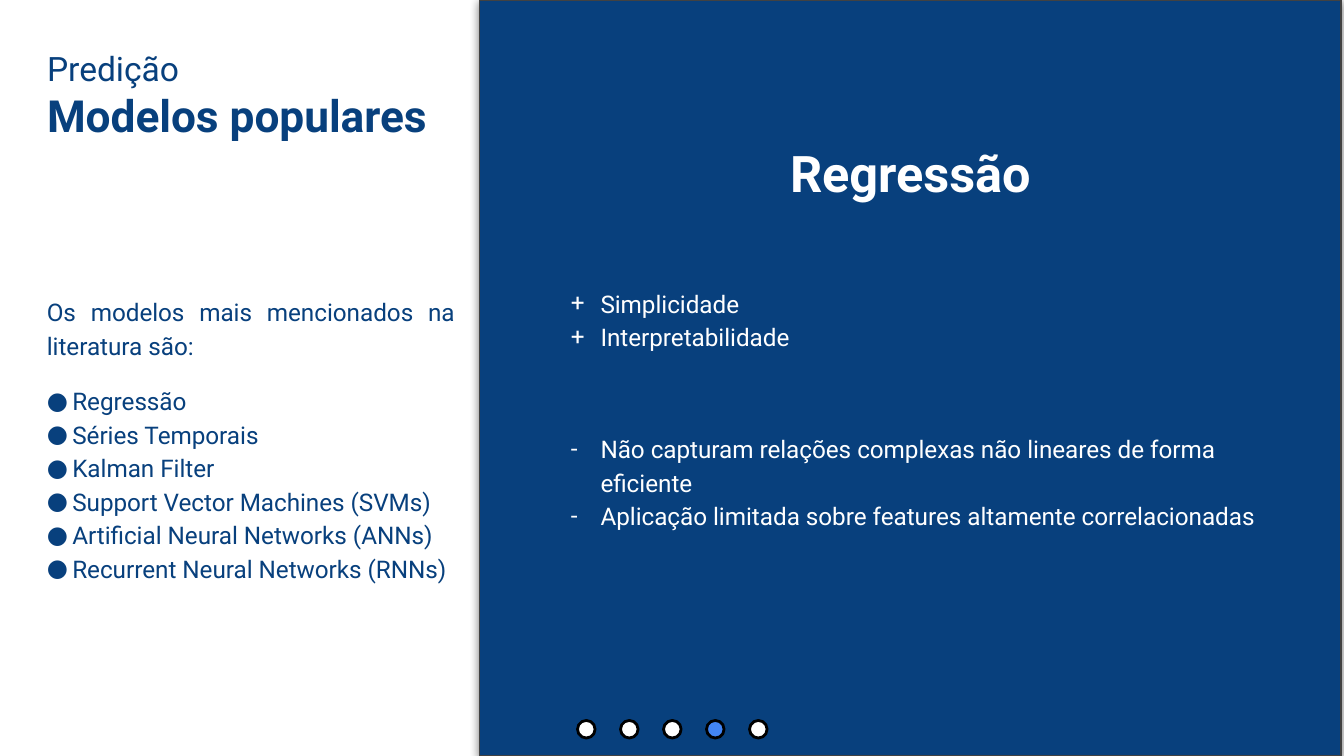
from lxml import etree
from pptx import Presentation
from pptx.dml.color import RGBColor
from pptx.enum.shapes import MSO_SHAPE
from pptx.enum.text import MSO_ANCHOR, MSO_AUTO_SIZE, PP_ALIGN
from pptx.oxml.ns import qn
from pptx.util import Pt

RECTANGLE, OVAL = MSO_SHAPE.RECTANGLE, MSO_SHAPE.OVAL
TOP, MIDDLE, BOTTOM = MSO_ANCHOR.TOP, MSO_ANCHOR.MIDDLE, MSO_ANCHOR.BOTTOM
LEFT, CENTER, JUSTIFY = PP_ALIGN.LEFT, PP_ALIGN.CENTER, PP_ALIGN.JUSTIFY
FONT = "Roboto"
BODY_SIZE = 13
COLORS = {
    "navy": "08407D",
    "white": "FFFFFF",
    "edge": "FAFAFA",
    "border": "424242",
    "black": "000000",
    "active": "4285F4",
}
MODELS = [
    "Regressão",
    "Séries Temporais",
    "Kalman Filter",
    "Support Vector Machines (SVMs)",
    "Artificial Neural Networks (ANNs)",
    "Recurrent Neural Networks (RNNs)",
]
PROS = ["Simplicidade", "Interpretabilidade"]
CONS = [
    "Não capturam relações complexas não lineares de forma eficiente",
    "Aplicação limitada sobre features altamente correlacionadas",
]
DOT_COUNT, ACTIVE_DOT = 5, 3


def rgb(name):
    return RGBColor.from_string(COLORS[name])


def place(shape, left, top, width, height):
    shape.left, shape.top = Pt(left), Pt(top)
    shape.width, shape.height = Pt(width), Pt(height)


def prepare_frame(box, anchor):
    frame = box.text_frame
    frame.word_wrap = True
    frame.auto_size = MSO_AUTO_SIZE.NONE
    frame.vertical_anchor = anchor
    frame.margin_left = frame.margin_right = Pt(7.2)
    frame.margin_top = frame.margin_bottom = Pt(7.2)
    return frame


def add_text_box(page, left, top, width, height, anchor):
    box = page.shapes.add_textbox(Pt(left), Pt(top), Pt(width), Pt(height))
    return prepare_frame(box, anchor)


def style_text(para, size, color, bold=False, align=LEFT):
    para.alignment = align
    for span in para.runs:
        span.font.name = FONT
        span.font.size = Pt(size)
        span.font.bold = bold
        span.font.color.rgb = rgb(color)


def add_bullet(para, mark, color, indent):
    properties = para._p.get_or_add_pPr()
    properties.set("marL", str(Pt(indent)))
    properties.set("indent", str(Pt(-15.84)))
    tint = etree.SubElement(properties, qn("a:buClr"))
    etree.SubElement(tint, qn("a:srgbClr"), val=COLORS[color])
    etree.SubElement(properties, qn("a:buFont"), typeface=FONT)
    etree.SubElement(properties, qn("a:buChar"), char=mark)


def write_body(frame, items, color, indent, align):
    """Each item is (bullet mark or None, text, space before)."""
    for index, (mark, text, space) in enumerate(items):
        para = frame.add_paragraph() if index else frame.paragraphs[0]
        para.text = text
        if mark:
            add_bullet(para, mark, color, indent)
        para.line_spacing = 1.15
        para.space_before = Pt(space)
        style_text(para, BODY_SIZE, color, align=align)


def add_filled(shapes, kind, bounds, fill, line=None, line_width=0):
    shape = shapes.add_shape(kind, *[Pt(value) for value in bounds])
    shape.shadow.inherit = False
    shape.fill.solid()
    shape.fill.fore_color.rgb = rgb(fill)
    if line:
        shape.line.color.rgb = rgb(line)
        shape.line.width = Pt(line_width)
    else:
        shape.line.fill.background()
    return shape


def add_soft_shadow(shape):
    effects = shape._element.spPr.find(qn("a:effectLst"))
    shadow = etree.SubElement(
        effects, qn("a:outerShdw"), blurRad=str(Pt(4.5)), dist=str(Pt(1.5)),
        dir="5400000", algn="bl", rotWithShape="0")
    tint = etree.SubElement(shadow, qn("a:srgbClr"), val=COLORS["black"])
    etree.SubElement(tint, qn("a:alpha"), val="50000")


def add_title(page):
    title = page.shapes.title
    place(title, 18, 18.7, 221, 64.8)
    frame = prepare_frame(title, TOP)
    frame.text = "Predição\nModelos populares"
    style_text(frame.paragraphs[0], 18, "navy")
    style_text(frame.paragraphs[1], 23.7, "navy", bold=True)


def add_dots(page):
    group = page.shapes.add_group_shape()
    for index in range(DOT_COUNT):
        fill = "active" if index == ACTIVE_DOT else "white"
        bounds = (309.4 + 23.04 * index, 386, 9.4, 9.4)
        add_filled(group.shapes, OVAL, bounds, fill, "black", 1.5)


def main():
    deck = Presentation()
    deck.slide_width, deck.slide_height = Pt(720), Pt(405)
    page = deck.slides.add_slide(deck.slide_layouts[5])

    # Left column: title and list of models
    add_title(page)
    models = [("●", name, 0 if index else 12) for index, name in enumerate(MODELS)]
    intro = (None, "Os modelos mais mencionados na literatura são:", 0)
    frame = add_text_box(page, 18, 83.5, 232.5, 302.4, MIDDLE)
    write_body(frame, [intro] + models, "navy", 13.68, JUSTIFY)

    # Right panel over its pale backing
    add_filled(page.shapes, RECTANGLE, (257.8, 0, 462.2, 405), "edge")
    panel = add_filled(page.shapes, RECTANGLE, (257, 0, 461.5, 405),
                       "navy", "border", 0.75)
    add_soft_shadow(panel)

    # Panel heading
    frame = add_text_box(page, 371.5, 18.7, 232.5, 97.2, BOTTOM)
    frame.text = "Regressão"
    style_text(frame.paragraphs[0], 27, "white", bold=True, align=CENTER)

    # Advantages and drawbacks
    pros = [("+", text, 0) for text in PROS]
    cons = [("-", text, 0 if index else 42) for index, text in enumerate(CONS)]
    frame = add_text_box(page, 287.3, 145.4, 400.3, 220, TOP)
    write_body(frame, pros + cons, "white", 27.36, LEFT)

    # Progress dots
    add_dots(page)
    deck.save("out.pptx")


if __name__ == "__main__":
    main()
